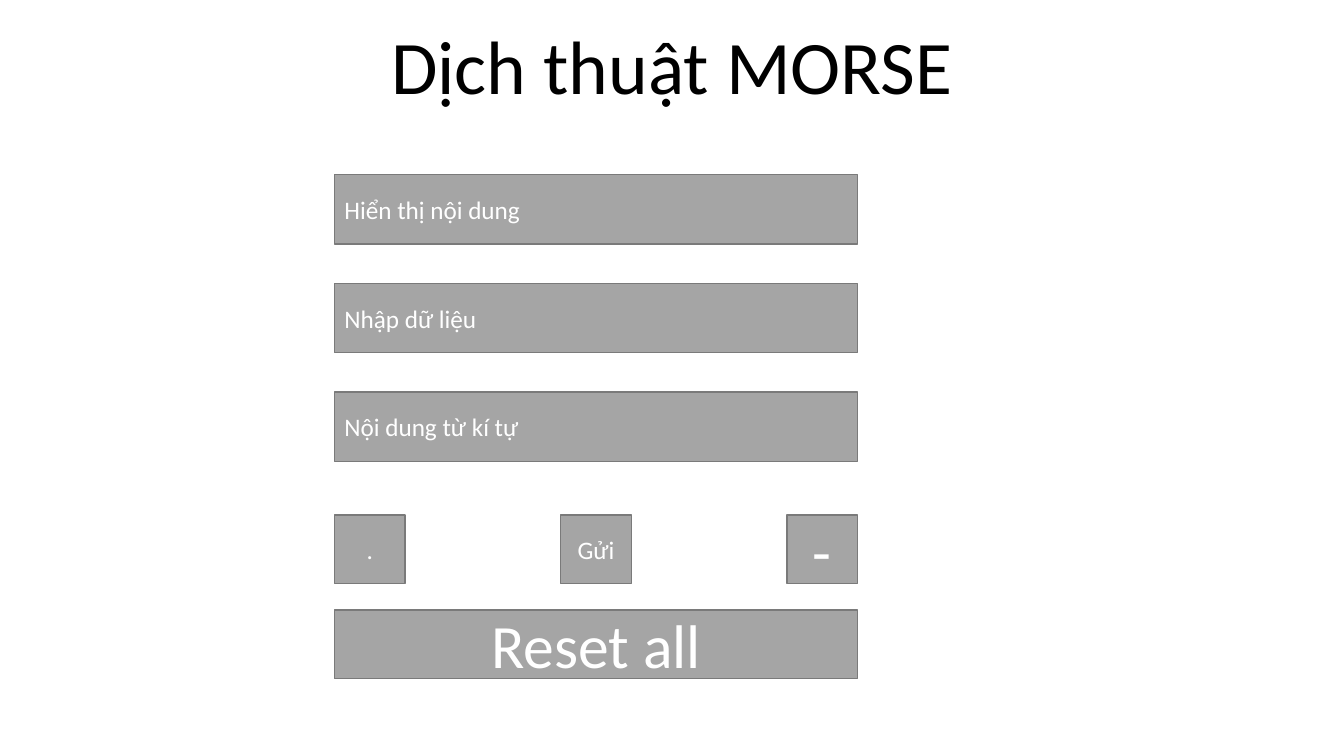
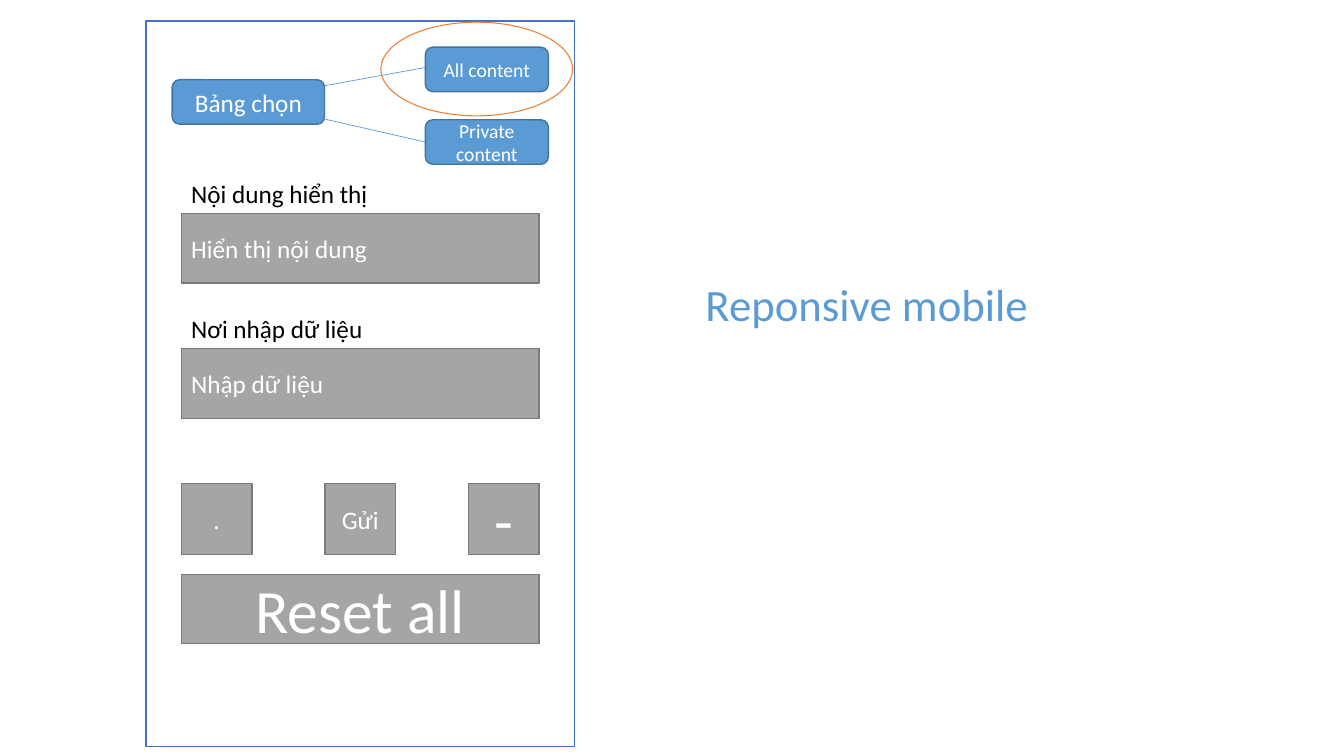
from dataclasses import dataclass

from lxml.etree import SubElement
from pptx import Presentation
from pptx.dml.color import RGBColor
from pptx.enum.shapes import MSO_CONNECTOR, MSO_SHAPE
from pptx.enum.text import MSO_ANCHOR, MSO_AUTO_SIZE, PP_ALIGN
from pptx.oxml.ns import qn
from pptx.slide import Slide
from pptx.util import Cm, Pt

# Shared look
FONT = "Calibri"
WHITE, BLACK = "FFFFFF", "000000"
GRAY, GRAY_EDGE = "A5A5A5", "7A7A7A"
BLUE, BLUE_EDGE = "5B9BD5", "43739E"
FRAME_BLUE, ORANGE = "4472C4", "ED7D31"

FIELD_HEIGHT, RESET_HEIGHT, KEY_WIDTH = 1.75, 1.73, 1.78
LABEL_WIDTH, LABEL_HEIGHT = 6.15, 1.02


@dataclass(frozen=True)
class Box:
    """Position and size in centimetres."""
    left: float
    top: float
    width: float
    height: float

    def lengths(self) -> tuple:
        return Cm(self.left), Cm(self.top), Cm(self.width), Cm(self.height)


@dataclass(frozen=True)
class Field:
    prompt: str
    label: str = ""


@dataclass(frozen=True)
class Key:
    caption: str
    size: int = 18


@dataclass(frozen=True)
class Form:
    left: float
    width: float
    first_top: float
    pitch: float
    fields: tuple
    keys_top: float
    key_height: float
    reset_top: float


KEYS = (Key("."), Key("Gửi"), Key("-", 44))


def rgb(value: str) -> RGBColor:
    return RGBColor.from_string(value)


def write(frame, text: str, *, size: int = 18, color: str = WHITE,
          align=PP_ALIGN.LEFT, anchor=MSO_ANCHOR.MIDDLE, wrap: bool = True) -> None:
    frame.word_wrap = wrap
    frame.vertical_anchor = anchor
    paragraph = frame.paragraphs[0]
    paragraph.alignment = align
    run = paragraph.add_run()
    run.text = text
    run.font.name = FONT
    run.font.size = Pt(size)
    run.font.color.rgb = rgb(color)


def add_panel(slide: Slide, box: Box, *, kind=MSO_SHAPE.RECTANGLE, fill: str = "",
              edge: str = GRAY_EDGE, edge_width: float = 1, text: str = "",
              **text_format) -> None:
    panel = slide.shapes.add_shape(kind, *box.lengths())
    panel.shadow.inherit = False
    if fill:
        panel.fill.solid()
        panel.fill.fore_color.rgb = rgb(fill)
    else:
        panel.fill.background()
    panel.line.color.rgb = rgb(edge)
    panel.line.width = Pt(edge_width)
    if text:
        write(panel.text_frame, text, **text_format)


def add_caption(slide: Slide, box: Box, text: str, **text_format) -> None:
    caption = slide.shapes.add_textbox(*box.lengths())
    write(caption.text_frame, text, anchor=MSO_ANCHOR.TOP, **text_format)
    caption.text_frame.auto_size = MSO_AUTO_SIZE.SHAPE_TO_FIT_TEXT


def add_branch(slide: Slide, start: tuple[float, float], end: tuple[float, float]) -> None:
    branch = slide.shapes.add_connector(
        MSO_CONNECTOR.STRAIGHT, *(Cm(value) for value in start + end))
    branch.line.color.rgb = rgb(BLUE)
    branch.line.width = Pt(0.5)
    SubElement(branch._element.spPr, qn("a:effectLst"))


def add_menu_button(slide: Slide, box: Box, text: str, size: int) -> None:
    add_panel(slide, box, kind=MSO_SHAPE.ROUNDED_RECTANGLE, fill=BLUE, edge=BLUE_EDGE,
              text=text, size=size, align=PP_ALIGN.CENTER)


def add_form(slide: Slide, form: Form) -> None:
    # Fields with optional labels above them
    for row, field in enumerate(form.fields):
        top = form.first_top + row * form.pitch
        add_panel(slide, Box(form.left, top, form.width, FIELD_HEIGHT),
                  fill=GRAY, text=field.prompt)
        if field.label:
            add_caption(slide, Box(form.left, top - LABEL_HEIGHT, LABEL_WIDTH, LABEL_HEIGHT),
                        field.label, color=BLACK)

    # Morse keys, spread evenly over the form width
    step = (form.width - KEY_WIDTH) / (len(KEYS) - 1)
    for column, key in enumerate(KEYS):
        add_panel(slide, Box(form.left + column * step, form.keys_top, KEY_WIDTH, form.key_height),
                  fill=GRAY, text=key.caption, size=key.size, align=PP_ALIGN.CENTER)

    # Reset button
    add_panel(slide, Box(form.left, form.reset_top, form.width, RESET_HEIGHT),
              fill=GRAY, text="Reset all", size=44, align=PP_ALIGN.CENTER)


def build_desktop(slide: Slide) -> None:
    add_caption(slide, Box(9.53, 0.36, 14.81, 2.57), "Dịch thuật MORSE",
                size=54, color=BLACK, align=PP_ALIGN.CENTER, wrap=False)
    add_form(slide, Form(
        left=8.43, width=13.18, first_top=4.4, pitch=2.74,
        fields=(Field("Hiển thị nội dung"), Field("Nhập dữ liệu"), Field("Nội dung từ kí tự")),
        keys_top=12.98, key_height=1.73, reset_top=15.37))


def build_mobile(slide: Slide) -> None:
    # Phone outline and form
    add_panel(slide, Box(3.68, 0.53, 10.8, 18.29), edge=FRAME_BLUE, edge_width=0.75)
    add_form(slide, Form(
        left=4.57, width=9.02, first_top=5.38, pitch=3.41,
        fields=(Field("Hiển thị nội dung", "Nội dung hiển thị"),
                Field("Nhập dữ liệu", "Nơi nhập dữ liệu")),
        keys_top=12.19, key_height=1.78, reset_top=14.48))
    add_caption(slide, Box(17.53, 6.86, 11.1, 1.63), "Reponsive mobile", size=32, color=BLUE)

    # Menu with its two choices
    add_menu_button(slide, Box(4.34, 2.01, 3.84, 1.12), "Bảng chọn", 18)
    add_branch(slide, (8.18, 2.16), (10.72, 1.7))
    add_branch(slide, (8.05, 2.97), (10.72, 3.58))
    for top, choice in ((1.19, "All content"), (3.02, "Private content")):
        add_menu_button(slide, Box(10.72, top, 3.1, 1.12), choice, 14)
    add_panel(slide, Box(9.6, 0.56, 4.83, 2.36), kind=MSO_SHAPE.OVAL,
              edge=ORANGE, edge_width=0.75)


def main() -> None:
    deck = Presentation()
    deck.slide_width, deck.slide_height = Cm(33.87), Cm(19.05)
    blank = deck.slide_layouts[6]
    for build in (build_desktop, build_mobile):
        build(deck.slides.add_slide(blank))
    deck.save("out.pptx")


if __name__ == "__main__":
    main()
